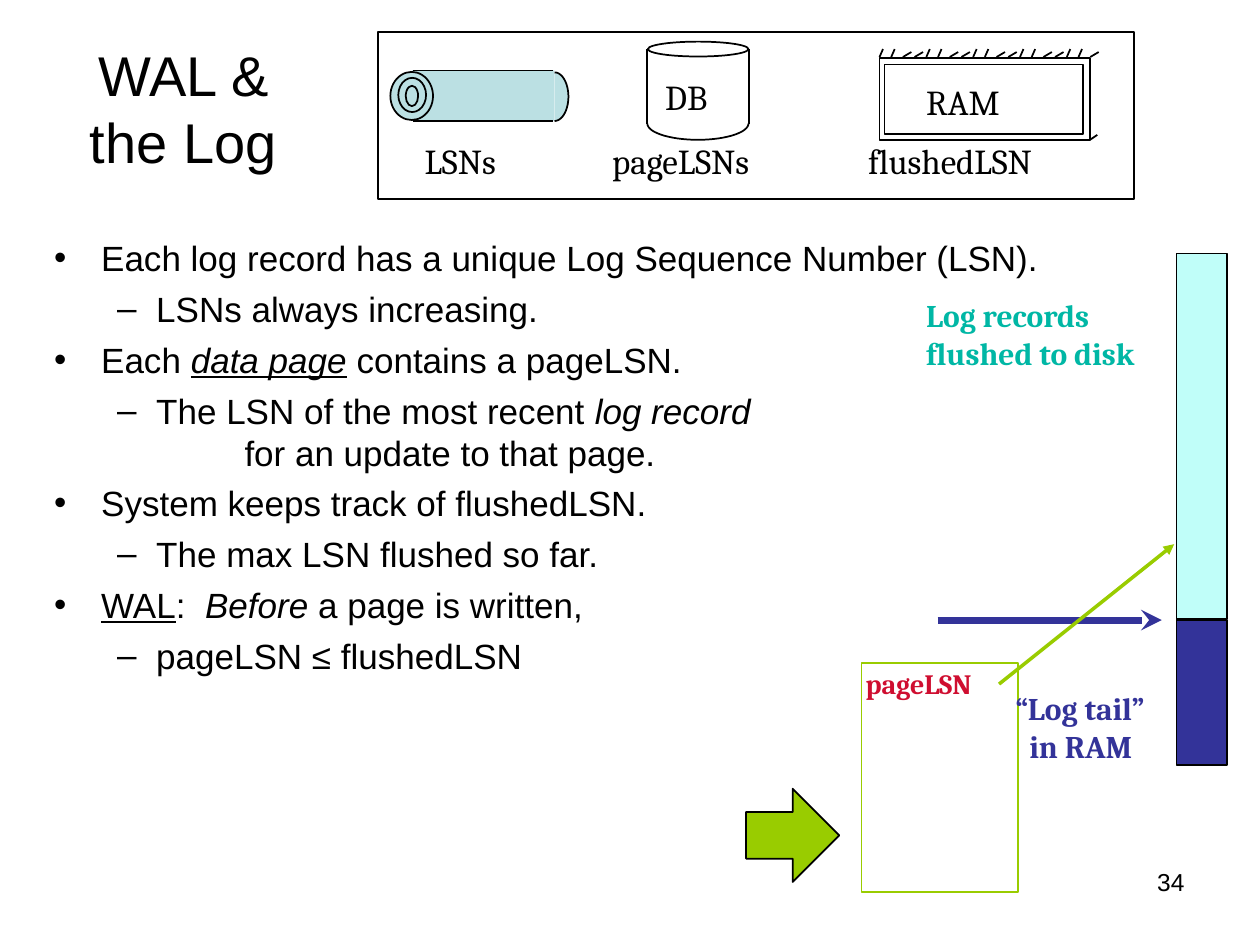
from dataclasses import dataclass
from math import cos, radians, sin
from typing import Optional

from lxml.etree import SubElement
from pptx import Presentation
from pptx.dml.color import RGBColor
from pptx.enum.shapes import MSO_CONNECTOR, MSO_SHAPE
from pptx.enum.text import MSO_ANCHOR, MSO_AUTO_SIZE, PP_ALIGN
from pptx.oxml.ns import qn
from pptx.util import Cm, Pt

COLORS = {
    "ink": "000000", "paper_roll": "BBE0E3", "flushed": "C0FEF9",
    "tail": "333399", "page": "99CC00", "page_lsn": "CF0E30",
    "flushed_label": "00B7A5",
}
PLAIN, ITALIC, UNDERLINE = {}, {"italic": True}, {"underline": True}
BOTH = {"italic": True, "underline": True}


@dataclass(frozen=True)
class Block:
    kind: MSO_SHAPE
    left: float
    top: float
    width: float
    height: float
    fill: Optional[str] = None
    line: Optional[str] = "ink"


@dataclass(frozen=True)
class Stroke:
    x1: float
    y1: float
    x2: float
    y2: float
    color: str = "ink"
    weight: float = 1
    head: Optional[str] = None


@dataclass(frozen=True)
class Arc:
    x: float
    y: float
    rx: float
    ry: float
    start: int
    fill: Optional[str] = None


@dataclass(frozen=True)
class Label:
    lines: tuple
    left: float
    top: float
    width: float
    height: float
    color: str = "ink"
    size: int = 20
    font: str = "Cambria"
    bold: bool = False
    wrap: bool = False
    align: PP_ALIGN = PP_ALIGN.LEFT
    anchor: MSO_ANCHOR = MSO_ANCHOR.TOP
    last_indent: float = 0


@dataclass(frozen=True)
class Point:
    runs: tuple
    margin: float
    hanging: float = 0
    bullet: Optional[str] = None
    space: int = 5


def rgb(name: str) -> RGBColor:
    return RGBColor.from_string(COLORS[name])


def paint(shape, fill: Optional[str], line: Optional[str]) -> None:
    shape.shadow.inherit = False
    if fill:
        shape.fill.solid()
        shape.fill.fore_color.rgb = rgb(fill)
    else:
        shape.fill.background()
    if line:
        shape.line.color.rgb = rgb(line)
        shape.line.width = Pt(1)
    else:
        shape.line.fill.background()


def draw_block(shapes, block: Block) -> None:
    box = (block.left, block.top, block.width, block.height)
    paint(shapes.add_shape(block.kind, *map(Cm, box)), block.fill, block.line)


def draw_stroke(shapes, stroke: Stroke) -> None:
    ends = (stroke.x1, stroke.y1, stroke.x2, stroke.y2)
    connector = shapes.add_connector(MSO_CONNECTOR.STRAIGHT, *map(Cm, ends))
    connector.line.color.rgb = rgb(stroke.color)
    connector.line.width = Pt(stroke.weight)
    if stroke.head:
        SubElement(connector.line._get_or_add_ln(), qn("a:tailEnd"), type=stroke.head)
    SubElement(connector._element.spPr, qn("a:effectLst"))


def draw_arc(shapes, arc: Arc) -> None:
    angles = [radians(arc.start + step) for step in range(0, 181, 6)]
    points = [(Cm(arc.x + arc.rx * cos(a)), Cm(arc.y + arc.ry * sin(a))) for a in angles]
    builder = shapes.build_freeform(*points[0])
    builder.add_line_segments(points[1:], close=False)
    paint(builder.convert_to_shape(), arc.fill, "ink")


def add_run(paragraph, text: str, color: str, style: dict) -> None:
    run = paragraph.add_run()
    run.text = text
    for key, value in style.items():
        setattr(run.font, key, value)
    run.font.color.rgb = rgb(color)


def draw_label(shapes, label: Label) -> None:
    box = (label.left, label.top, label.width, label.height)
    frame = shapes.add_textbox(*map(Cm, box)).text_frame
    layout = {
        "word_wrap": label.wrap,
        "vertical_anchor": label.anchor,
        "auto_size": MSO_AUTO_SIZE.NONE if label.wrap else MSO_AUTO_SIZE.SHAPE_TO_FIT_TEXT,
    }
    for key, value in layout.items():
        setattr(frame, key, value)
    style = {"name": label.font, "size": Pt(label.size), "bold": label.bold}
    for index, text in enumerate(label.lines):
        paragraph = frame.add_paragraph() if index else frame.paragraphs[0]
        paragraph.alignment = label.align
        add_run(paragraph, text, label.color, style)
    if label.last_indent:
        paragraph._p.get_or_add_pPr().set("marL", str(Cm(label.last_indent)))


def draw_points(shapes, points: list) -> None:
    frame = shapes.add_textbox(Cm(0.84), Cm(4.65), Cm(21.59), Cm(11.33)).text_frame
    frame.word_wrap = True
    for index, point in enumerate(points):
        paragraph = frame.add_paragraph() if index else frame.paragraphs[0]
        properties = paragraph._p.get_or_add_pPr()
        properties.set("marL", str(Cm(point.margin)))
        properties.set("indent", str(-Cm(point.hanging)))
        if point.bullet:
            SubElement(properties, qn("a:buFont"), typeface="Arial")
            SubElement(properties, qn("a:buChar"), char=point.bullet)
        paragraph.space_before = Pt(point.space if index else 0)
        for text, emphasis in point.runs:
            add_run(paragraph, text, "ink", {"name": "Arial", "size": Pt(20), **emphasis})


def major(*runs: tuple) -> Point:
    return Point(runs, 0.95, 0.95, "•")


def minor(*runs: tuple) -> Point:
    return Point(runs, 2.06, 0.79, "–")


def hatching() -> list:
    first, step, base = 17.73, 0.236, 1.15
    slants = ((0.07, 0.16), (0.07, 0.16), (0.17, 0.1), (0.17, 0.1))
    marks = []
    for index in range(19):
        run, rise = slants[index % 4]
        x = first + index * step
        marks.append(Stroke(x, base, x + run, base - rise))
    return marks


RECT, OVAL = MSO_SHAPE.RECTANGLE, MSO_SHAPE.OVAL
LEGEND = [
    Label(("LSNs",), 8.31, 2.69, 2.18, 1.09),
    Block(OVAL, 13.06, 0.84, 2.03, 0.3),
    Stroke(13.04, 0.99, 13.04, 2.49),
    Stroke(15.1, 0.99, 15.1, 2.49),
    Arc(14.07, 2.49, 1.02, 0.33, 0),
    Label(("DB",), 13.16, 1.4, 1.47, 1.09),
    Label(("pageLSNs",), 12.09, 2.69, 3.78, 1.09),
    Label(("RAM",), 18.42, 1.5, 2.13, 1.09),
    Block(RECT, 17.73, 1.17, 4.24, 1.65),
    *hatching(),
    Stroke(22.12, 2.72, 21.97, 2.82),
    Block(RECT, 17.83, 1.3, 4.01, 1.4),
    Label(("flushedLSN",), 17.25, 2.69, 4.37, 1.09),
    Block(RECT, 7.62, 0.64, 15.24, 3.38),
    Block(RECT, 8.31, 1.42, 2.87, 1.02, "paper_roll", None),
    Block(OVAL, 7.87, 1.45, 0.86, 0.97, "paper_roll"),
    Stroke(8.33, 1.42, 11.15, 1.42),
    Stroke(8.33, 2.44, 11.15, 2.44),
    Arc(11.18, 1.95, 0.28, 0.49, -90, "paper_roll"),
    Block(OVAL, 8.03, 1.57, 0.56, 0.69),
    Block(OVAL, 8.18, 1.73, 0.25, 0.41),
]
LOG = [
    Block(RECT, 23.72, 5.11, 1.02, 7.37, "flushed"),
    Block(RECT, 23.72, 12.5, 1.02, 2.92, "tail"),
]
DATA_PAGE = [
    Block(RECT, 17.37, 13.36, 3.15, 4.62, None, "page"),
    Label(("pageLSN",), 17.2, 13.31, 2.97, 0.91, "page_lsn", 16, bold=True),
]
ANNOTATIONS = [
    Stroke(18.9, 12.5, 23.42, 12.5, "tail", 4, "stealth"),
    Stroke(20.14, 13.79, 23.67, 10.97, "page", 2, "triangle"),
    Label(("Log records", "flushed to disk"), 18.42, 5.84, 5.21, 1.78,
          "flushed_label", 18, bold=True),
    Label(("“Log tail”", "in RAM"), 20.22, 13.77, 3.53, 1.78,
          "tail", 18, bold=True, last_indent=0.28),
    Block(MSO_SHAPE.RIGHT_ARROW, 15.04, 15.9, 1.88, 1.88, "page"),
    Label(("34",), 18.21, 17.35, 5.92, 1.32, size=14, font="Arial",
          wrap=True, align=PP_ALIGN.RIGHT),
]
TITLE = Label(("WAL & the Log",), 0.84, 0.64, 5.72, 3.07, size=32, font="Arial",
              wrap=True, align=PP_ALIGN.CENTER, anchor=MSO_ANCHOR.MIDDLE)
POINTS = [
    major(("Each log record has a unique Log Sequence Number (LSN).", PLAIN)),
    minor(("LSNs always increasing.", PLAIN)),
    major(("Each ", PLAIN), ("data page", BOTH), (" contains a pageLSN.", PLAIN)),
    minor(("The LSN of the most recent ", PLAIN), ("log record", ITALIC)),
    Point((("for an update to that page.", PLAIN),), 3.84, space=0),
    major(("System keeps track of flushedLSN.", PLAIN)),
    minor(("The max LSN flushed so far.", PLAIN)),
    major(("WAL", UNDERLINE), (":  ", PLAIN), ("Before", ITALIC), (" a page is written,", PLAIN)),
    minor(("pageLSN ≤ flushedLSN", PLAIN)),
]
DRAW = {Block: draw_block, Stroke: draw_stroke, Arc: draw_arc, Label: draw_label}


def draw_all(shapes, parts: list) -> None:
    for part in parts:
        DRAW[type(part)](shapes, part)


def main() -> None:
    deck = Presentation()
    for key, value in {"slide_width": Cm(25.4), "slide_height": Cm(19.05)}.items():
        setattr(deck, key, value)
    shapes = deck.slides.add_slide(deck.slide_layouts[6]).shapes
    draw_label(shapes, TITLE)
    draw_points(shapes, POINTS)
    draw_all(shapes.add_group_shape().shapes, LEGEND)
    draw_all(shapes, LOG)
    draw_all(shapes.add_group_shape().shapes, DATA_PAGE)
    draw_all(shapes, ANNOTATIONS)
    deck.save("out.pptx")


if __name__ == "__main__":
    main()
